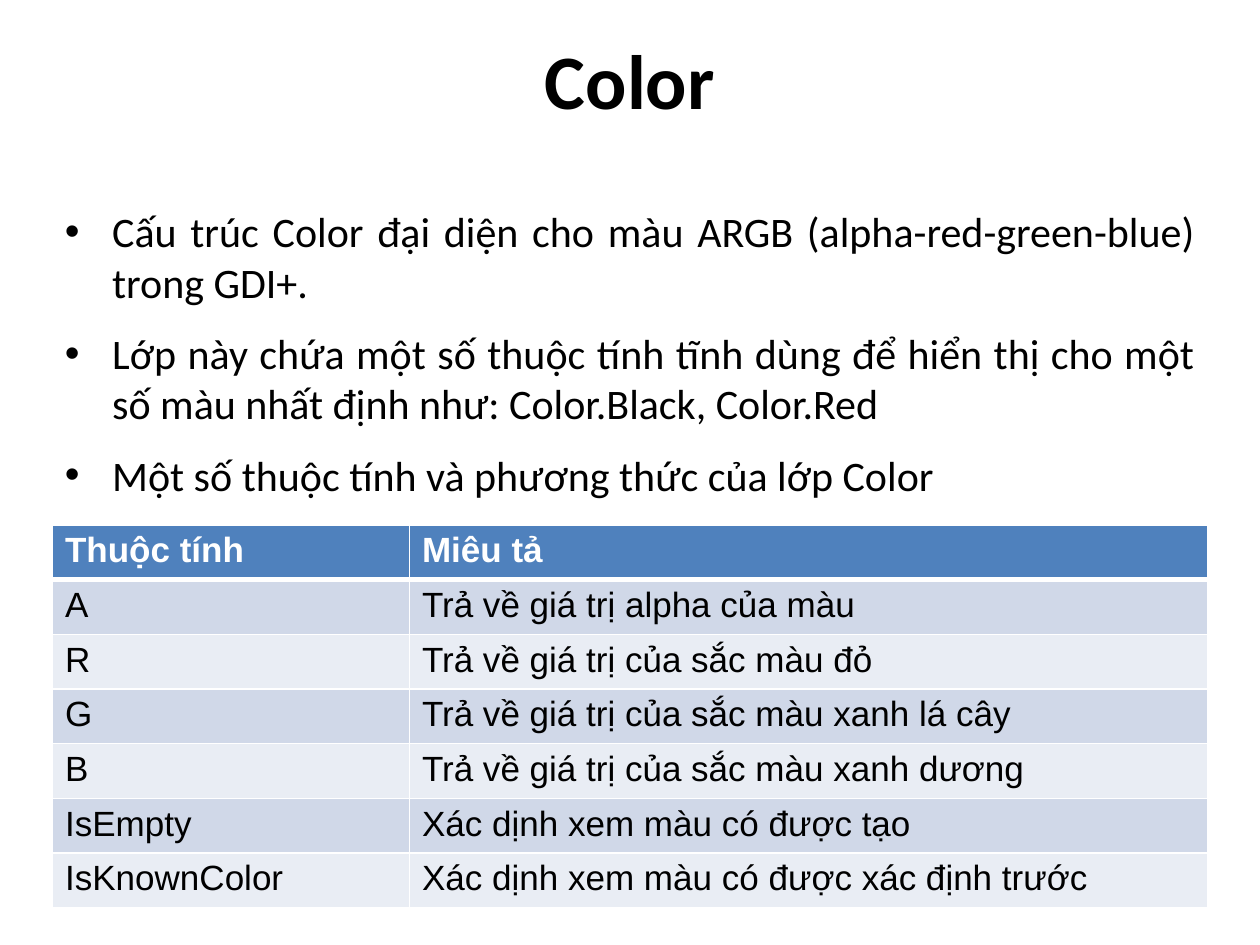
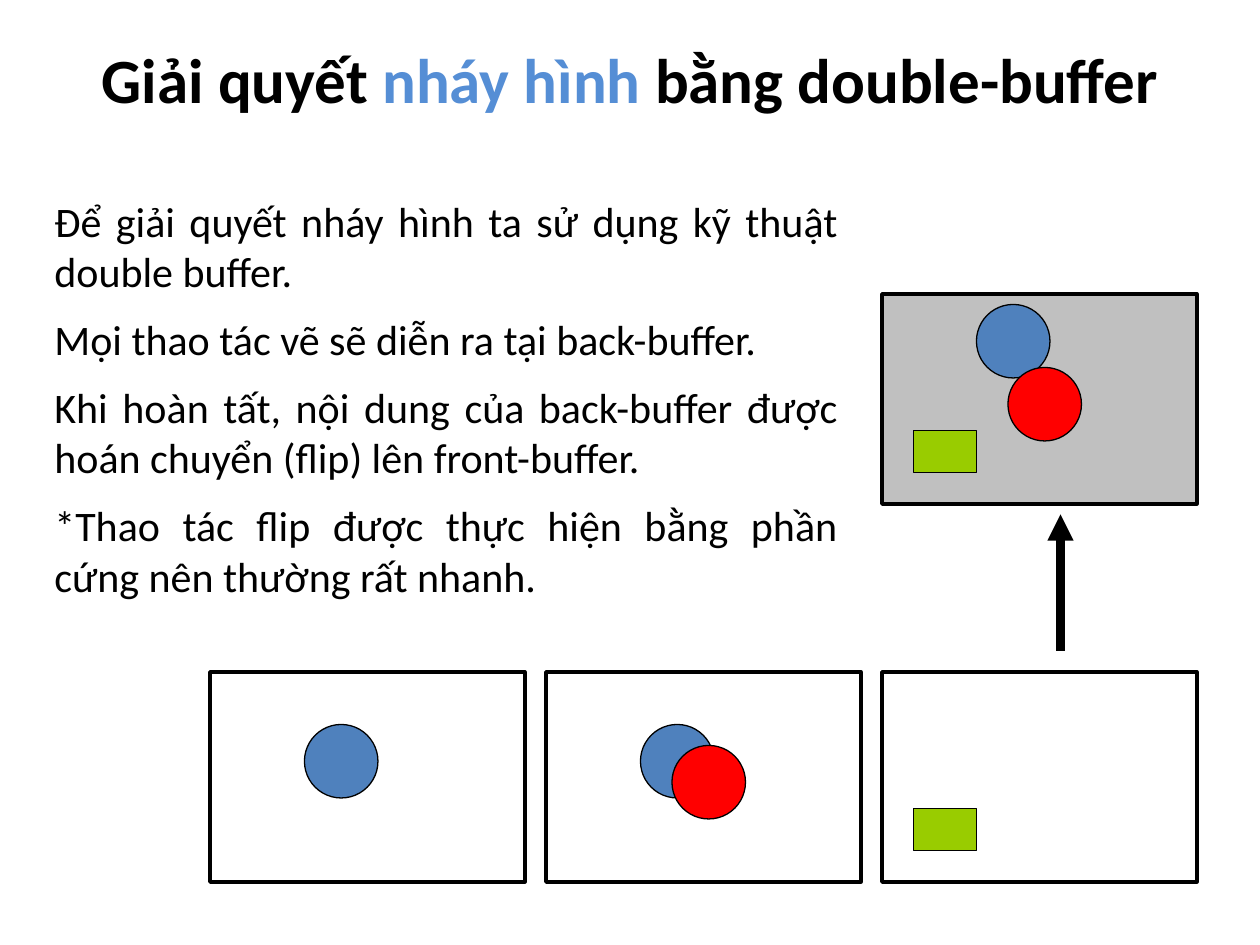
from lxml.etree import SubElement
from pptx import Presentation
from pptx.dml.color import RGBColor
from pptx.enum.shapes import MSO_CONNECTOR, MSO_SHAPE
from pptx.enum.text import MSO_ANCHOR, PP_ALIGN
from pptx.oxml.ns import qn
from pptx.util import Pt

BLACK = RGBColor(0x00, 0x00, 0x00)
WHITE = RGBColor(0xFF, 0xFF, 0xFF)
BLUE = RGBColor(0x4F, 0x81, 0xBD)
LIGHT_BLUE = RGBColor(0x55, 0x8E, 0xD5)
RED = RGBColor(0xFF, 0x00, 0x00)
GREEN = RGBColor(0x99, 0xCC, 0x00)
GRAY = RGBColor(0xC0, 0xC0, 0xC0)
BANDS = (RGBColor(0xE9, 0xED, 0xF4), RGBColor(0xD0, 0xD8, 0xE8))

COLOR_POINTS = (
    "Cấu trúc Color đại diện cho màu ARGB (alpha-red-green-blue) trong GDI+.",
    "Lớp này chứa một số thuộc tính tĩnh dùng để hiển thị cho một số màu "
    "nhất định như: Color.Black, Color.Red",
    "Một số thuộc tính và phương thức của lớp Color",
)
COLOR_PROPERTIES = (
    ("Thuộc tính", "Miêu tả"),
    ("A", "Trả về giá trị alpha của màu"),
    ("R", "Trả về giá trị của sắc màu đỏ"),
    ("G", "Trả về giá trị của sắc màu xanh lá cây"),
    ("B", "Trả về giá trị của sắc màu xanh dương"),
    ("IsEmpty", "Xác dịnh xem màu có được tạo"),
    ("IsKnownColor", "Xác dịnh xem màu có được xác định trước"),
)
BUFFER_POINTS = (
    "Để giải quyết nháy hình ta sử dụng kỹ thuật double buffer.",
    "Mọi thao tác vẽ sẽ diễn ra tại back-buffer.",
    "Khi hoàn tất, nội dung của back-buffer được hoán chuyển (flip) lên front-buffer.",
    "*Thao tác flip được thực hiện bằng phần cứng nên thường rất nhanh.",
)

# Drawn items: preset, offset inside the buffer frame, size, fill
BLUE_BALL = (MSO_SHAPE.OVAL, 54, 30, 42, 42, BLUE)
RAISED_BLUE_BALL = (MSO_SHAPE.OVAL, 54, 6, 42, 42, BLUE)
RED_BALL = (MSO_SHAPE.OVAL, 72, 42, 42, 42, RED)
GREEN_BLOCK = (MSO_SHAPE.RECTANGLE, 18, 78, 36, 24, GREEN)


class Deck:
    heading_font = "Calibri"
    table_font = "Arial"

    def __init__(self):
        self.presentation = Presentation()
        self.presentation.slide_width = Pt(720)
        self.presentation.slide_height = Pt(540)
        self.slide = None

    def new_slide(self):
        self.slide = self.presentation.slides.add_slide(self.presentation.slide_layouts[6])

    def add_text(self, paragraph, text, color=BLACK, **style):
        run = paragraph.add_run()
        run.text = text
        run.font.color.rgb = color
        for attribute, value in style.items():
            setattr(run.font, attribute, value)

    def text_frame(self, left, top, width, height):
        box = self.slide.shapes.add_textbox(Pt(left), Pt(top), Pt(width), Pt(height))
        box.text_frame.word_wrap = True
        return box.text_frame

    def title(self, size, *parts):
        """Each part is a (text, colour) pair."""
        frame = self.text_frame(36, 0, 648, 90)
        frame.vertical_anchor = MSO_ANCHOR.MIDDLE
        line = frame.paragraphs[0]
        line.alignment = PP_ALIGN.CENTER
        for text, color in parts:
            self.add_text(line, text, color, name=self.heading_font, size=Pt(size), bold=True)

    def body(self, area, points, gap, bulleted=False):
        frame = self.text_frame(*area)
        for index, point in enumerate(points):
            paragraph = frame.add_paragraph() if index else frame.paragraphs[0]
            paragraph.alignment = PP_ALIGN.JUSTIFY
            paragraph.space_before = Pt(gap)
            if bulleted:
                self.bullet(paragraph)
            self.add_text(paragraph, point, name=self.heading_font, size=Pt(24))

    def bullet(self, paragraph):
        properties = paragraph._p.get_or_add_pPr()
        properties.set("marL", str(Pt(27)))
        properties.set("indent", str(-Pt(27)))
        SubElement(properties, qn("a:buFont"), typeface="Arial")
        SubElement(properties, qn("a:buChar"), char="•")

    def table(self, left, top, widths, row_height, rows):
        grid = self.slide.shapes.add_table(
            len(rows), len(widths), Pt(left), Pt(top),
            Pt(sum(widths)), Pt(row_height * len(rows))).table
        for column, width in zip(grid.columns, widths):
            column.width = Pt(width)
        for r, texts in enumerate(rows):
            grid.rows[r].height = Pt(row_height)
            is_header = r == 0
            for c, text in enumerate(texts):
                cell = grid.cell(r, c)
                self.borders(cell, L=1, R=1, T=3 if r == 1 else 1, B=3 if is_header else 1)
                cell.fill.solid()
                cell.fill.fore_color.rgb = BLUE if is_header else BANDS[r % 2]
                self.add_text(cell.text_frame.paragraphs[0], text,
                              WHITE if is_header else BLACK,
                              name=self.table_font, size=Pt(20), bold=is_header)

    def borders(self, cell, **widths):
        properties = cell._tc.get_or_add_tcPr()
        for side, width in widths.items():
            line = SubElement(properties, qn(f"a:ln{side}"), w=str(Pt(width)))
            fill = SubElement(line, qn("a:solidFill"))
            SubElement(fill, qn("a:srgbClr"), val=str(WHITE))

    def shape(self, preset, left, top, width, height, fill=None, line_width=0.75):
        shape = self.slide.shapes.add_shape(preset, Pt(left), Pt(top), Pt(width), Pt(height))
        shape.shadow.inherit = False
        if fill is None:
            shape.fill.background()
        else:
            shape.fill.solid()
            shape.fill.fore_color.rgb = fill
        shape.line.color.rgb = BLACK
        shape.line.width = Pt(line_width)

    def buffer(self, left, top, items, fill=None):
        """Draw a buffer frame with the items placed relative to its corner."""
        self.shape(MSO_SHAPE.RECTANGLE, left, top, 180, 120, fill, line_width=2)
        for preset, dx, dy, width, height, color in items:
            self.shape(preset, left + dx, top + dy, width, height, color)

    def arrow(self, x1, y1, x2, y2):
        arrow = self.slide.shapes.add_connector(
            MSO_CONNECTOR.STRAIGHT, Pt(x1), Pt(y1), Pt(x2), Pt(y2))
        arrow.line.color.rgb = BLACK
        arrow.line.width = Pt(5)
        properties = arrow._element.spPr
        SubElement(properties.find(qn("a:ln")), qn("a:tailEnd"), type="triangle")
        SubElement(properties, qn("a:effectLst"))


def color_slide(deck):
    deck.new_slide()
    deck.body((30, 114, 660, 390), COLOR_POINTS, gap=12, bulleted=True)
    deck.title(44, ("Color", BLACK))
    deck.table(30, 300, (204, 456), 29.2, COLOR_PROPERTIES)


def double_buffer_slide(deck):
    deck.new_slide()
    deck.body((24, 108, 462, 270), BUFFER_POINTS, gap=10)
    deck.title(36, ("Giải quyết ", BLACK), ("nháy hình ", LIGHT_BLUE),
               ("bằng double-buffer", BLACK))
    back_buffer_steps = ((BLUE_BALL,), (BLUE_BALL, RED_BALL), (GREEN_BLOCK,))
    for step, items in enumerate(back_buffer_steps):
        deck.buffer(120 + 192 * step, 384, items)
    deck.buffer(504, 168, (RAISED_BLUE_BALL, RED_BALL, GREEN_BLOCK), GRAY)
    deck.arrow(606, 372, 606, 294)


def main():
    deck = Deck()
    color_slide(deck)
    double_buffer_slide(deck)
    deck.presentation.save("out.pptx")


if __name__ == "__main__":
    main()
